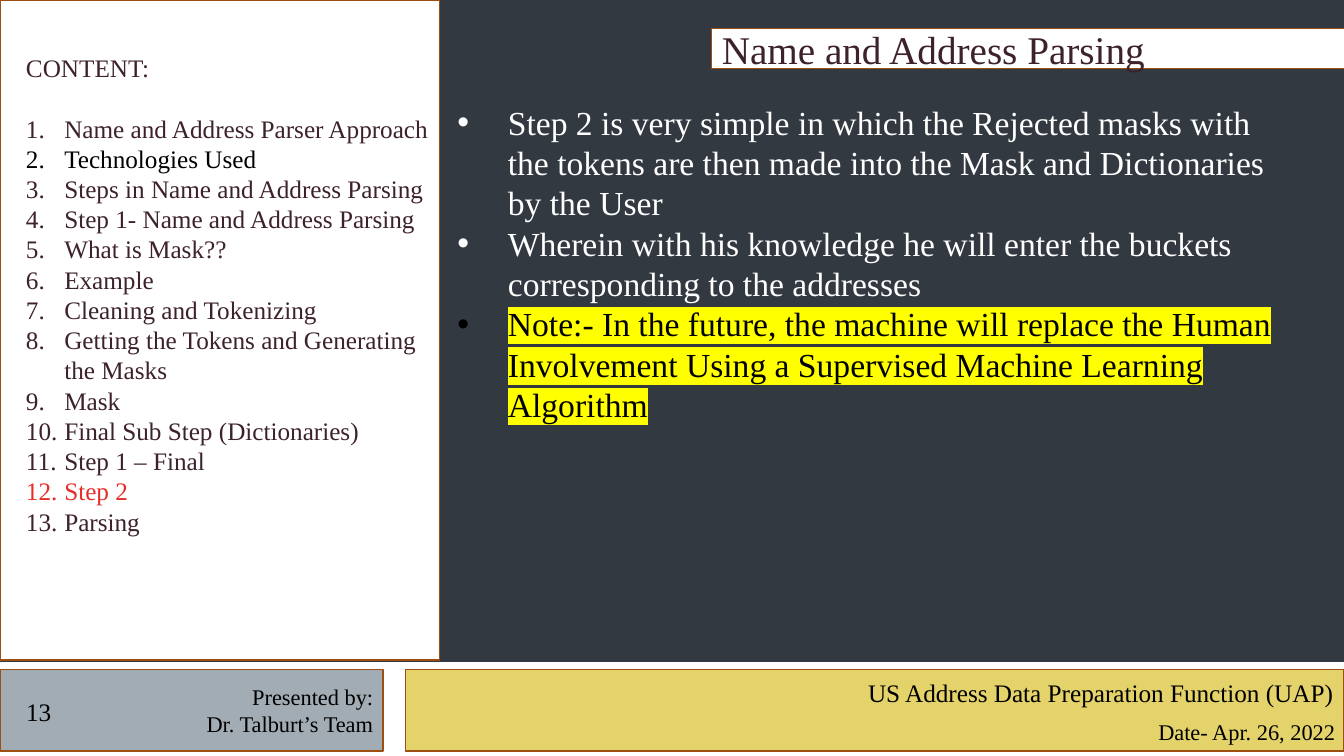
from lxml import etree
from pptx import Presentation
from pptx.dml.color import RGBColor
from pptx.enum.shapes import MSO_SHAPE
from pptx.enum.text import MSO_ANCHOR, MSO_AUTO_SIZE, PP_ALIGN
from pptx.oxml.ns import qn
from pptx.util import Inches, Pt

RECTANGLE = MSO_SHAPE.RECTANGLE
LEFT, RIGHT = PP_ALIGN.LEFT, PP_ALIGN.RIGHT
MIDDLE = MSO_ANCHOR.MIDDLE
NO_AUTOFIT = MSO_AUTO_SIZE.NONE

SLIDE_WIDTH, SLIDE_HEIGHT = Inches(13.333), Inches(7.5)
FONT = "Times New Roman"
TITLE_ONLY = 5

SLATE = RGBColor(0x33, 0x39, 0x40)
WHITE = RGBColor(0xFF, 0xFF, 0xFF)
BLACK = RGBColor(0x00, 0x00, 0x00)
GREY = RGBColor(0xA2, 0xAC, 0xB5)
GOLD = RGBColor(0xE4, 0xD2, 0x6A)
RUST = RGBColor(0x9E, 0x4E, 0x11)
PLUM = RGBColor(0x3D, 0x22, 0x29)
RED = RGBColor(0xE7, 0x2D, 0x29)
YELLOW = RGBColor(0xFF, 0xFF, 0x00)

CONTENTS = [
    "Name and Address Parser Approach",
    "Technologies Used",
    "Steps in Name and Address Parsing",
    "Step 1- Name and Address Parsing",
    "What is Mask??",
    "Example",
    "Cleaning and Tokenizing",
    "Getting the Tokens and Generating the Masks",
    "Mask",
    "Final Sub Step (Dictionaries)",
    "Step 1 – Final",
    "Step 2",
    "Parsing",
]
CONTENTS_COLORS = {"Technologies Used": BLACK, "Step 2": RED}

POINTS = [
    "Step 2 is very simple in which the Rejected masks with the tokens "
    "are then made into the Mask and Dictionaries by the User",
    "Wherein with his knowledge he will enter the buckets "
    "corresponding to the addresses",
]
NOTE = ("Note:- In the future, the machine will replace the Human Involvement "
        "Using a Supervised Machine Learning Algorithm")

# Left, top, width and height as percentages of the slide
FOOTER_BAND = (0, 87.6, 100, 12.4)
PRESENTER_BAR = (0, 88.53, 28.5, 10.8)
PROJECT_BAR = (30.15, 88.53, 69.85, 10.8)
SIDEBAR = (0, 0, 32.7, 87.33)
TITLE_BOX = (52.96, 3.73, 47.1, 5.33)
CONTENTS_BOX = (1.2, 6.27, 31.5, 70)
POINTS_BOX = (33.3, 12.8, 63.6, 49.87)

FOOTER_TEXTS = [
    ((1.2, 91.47, 3.5, 5.33), ["13"], 18, LEFT),
    ((11.33, 89.73, 17.18, 8.53),
     ["Presented by:", "Dr. Talburt’s Team"], 16, RIGHT),
    ((57.25, 88.93, 42.7, 5.33),
     ["US Address Data Preparation Function (UAP)"], 18, RIGHT),
    ((83.05, 94.4, 17.03, 4.93), ["Date- Apr. 26, 2022"], 16, RIGHT),
]


def set_attributes(target, values):
    for name, value in values.items():
        setattr(target, name, value)


def frame(box):
    """Turn percentages of the slide into lengths."""
    sides = (SLIDE_WIDTH, SLIDE_HEIGHT) * 2
    return [round(side * share / 100) for side, share in zip(sides, box)]


def paint(shape, fill, line):
    shape.fill.solid()
    shape.fill.fore_color.rgb = fill
    shape.line.color.rgb = line
    shape.line.width = Pt(1)


def add_panel(slide, box, fill, line=RUST):
    panel = slide.shapes.add_shape(RECTANGLE, *frame(box))
    panel.shadow.inherit = False
    paint(panel, fill, line)


def add_text_frame(slide, box):
    text_frame = slide.shapes.add_textbox(*frame(box)).text_frame
    text_frame.word_wrap = True
    return text_frame


def write(text_frame, text, size, color, alignment=LEFT):
    """Fill the empty first paragraph, or add a further one."""
    paragraph = text_frame.paragraphs[0]
    if paragraph.runs:
        paragraph = text_frame.add_paragraph()
    paragraph.alignment = alignment
    run = paragraph.add_run()
    run.text = text
    set_attributes(run.font, {"name": FONT, "size": Pt(size), "bold": False})
    run.font.color.rgb = color
    return paragraph


def add_bullet(paragraph, indent, tag, attributes):
    properties = paragraph._p.get_or_add_pPr()
    properties.set("marL", str(Inches(indent)))
    properties.set("indent", str(-Inches(indent)))
    if tag == "a:buChar":
        etree.SubElement(properties, qn("a:buFont"), typeface="Arial")
    etree.SubElement(properties, qn(tag), **attributes)


def highlight(run, color):
    mark = etree.Element(qn("a:highlight"))
    etree.SubElement(mark, qn("a:srgbClr"), val=str(color))
    run.font._element.find(qn("a:solidFill")).addnext(mark)


def add_title(slide, text):
    title = slide.shapes.title
    names = ("left", "top", "width", "height")
    set_attributes(title, dict(zip(names, frame(TITLE_BOX))))
    paint(title, WHITE, RUST)
    set_attributes(title.text_frame, {
        "auto_size": NO_AUTOFIT, "vertical_anchor": MIDDLE, "word_wrap": True})
    write(title.text_frame, text, 28, PLUM)


def add_contents(slide):
    text_frame = add_text_frame(slide, CONTENTS_BOX)
    heading = write(text_frame, "CONTENT:", 18, PLUM)
    heading.space_after = Pt(21.6)
    for item in CONTENTS:
        paragraph = write(text_frame, item, 18, CONTENTS_COLORS.get(item, PLUM))
        add_bullet(paragraph, 0.38, "a:buAutoNum", {"type": "arabicPeriod"})


def add_points(slide):
    text_frame = add_text_frame(slide, POINTS_BOX)
    paragraphs = [write(text_frame, point, 24, WHITE) for point in POINTS]
    note = write(text_frame, NOTE, 24, BLACK)
    highlight(note.runs[0], YELLOW)
    for paragraph in paragraphs + [note]:
        add_bullet(paragraph, 0.5, "a:buChar", {"char": "•"})


def main():
    presentation = Presentation()
    set_attributes(presentation, {
        "slide_width": SLIDE_WIDTH, "slide_height": SLIDE_HEIGHT})
    slide = presentation.slides.add_slide(presentation.slide_layouts[TITLE_ONLY])
    slide.background.fill.solid()
    slide.background.fill.fore_color.rgb = SLATE

    # Footer
    add_panel(slide, FOOTER_BAND, WHITE, WHITE)
    add_panel(slide, PRESENTER_BAR, GREY)
    add_panel(slide, PROJECT_BAR, GOLD)
    for box, lines, size, alignment in FOOTER_TEXTS:
        text_frame = add_text_frame(slide, box)
        for line in lines:
            write(text_frame, line, size, BLACK, alignment)

    # Sidebar with the list of contents
    add_panel(slide, SIDEBAR, WHITE)
    add_contents(slide)

    # Title and main points
    add_title(slide, "Name and Address Parsing")
    add_points(slide)

    presentation.save("out.pptx")


main()
